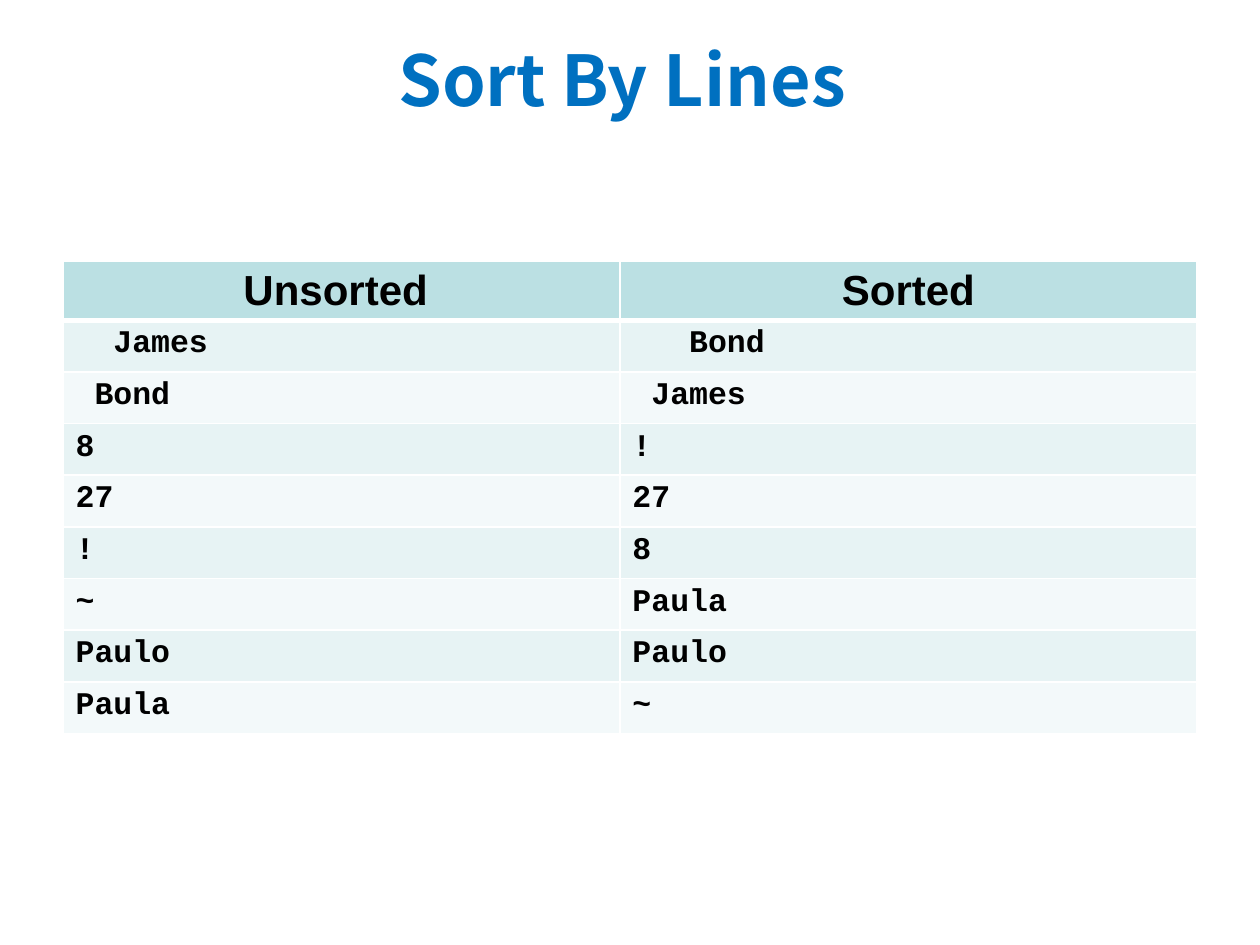
import lxml.etree
import pptx
import pptx.dml.color
import pptx.enum.text
import pptx.oxml.ns
import pptx.util

Inches = pptx.util.Inches
ALIGN = pptx.enum.text.PP_ALIGN

HEADERS = ("Unsorted ", "Sorted")
# Leading spaces belong to the lines: they decide the sort order
UNSORTED_LINES = ("  James", " Bond", "8", "27", "!", "~", "Paulo", "Paula")
SORTED_LINES = ("   Bond", " James", "!", "27", "8", "Paula", "Paulo", "~")

HEADER_FILL = "BBE0E3"
BAND_FILLS = ("E7F3F4", "F3F9FA")
BORDER_COLOR = "FFFFFF"
COLUMN_WIDTHS = (4.42, 4.58)
HEADER_HEIGHT, LINE_HEIGHT = 0.46, 0.41


def color(value):
    return pptx.dml.color.RGBColor.from_string(value)


def format_text(text_frame, font_name, size, text_color, alignment):
    for paragraph in text_frame.paragraphs:
        paragraph.alignment = alignment
        for run in paragraph.runs:
            run.font.name = font_name
            run.font.size = pptx.util.Pt(size)
            run.font.bold = True
            run.font.color.rgb = color(text_color)


def add_title(slide, text):
    title = slide.shapes.title
    title.left, title.top = Inches(0.5), Inches(0)
    title.width, title.height = Inches(9), Inches(1.25)
    title.text_frame.text = text
    title.text_frame.vertical_anchor = pptx.enum.text.MSO_ANCHOR.MIDDLE
    format_text(title.text_frame, "Noto Sans CJK SC", 40, "0070C0", ALIGN.CENTER)


def set_borders(cell, top, bottom):
    """Draw the four cell borders; widths are in points."""
    qn = pptx.oxml.ns.qn
    properties = cell._tc.get_or_add_tcPr()
    for side, width in (("L", 1), ("R", 1), ("T", top), ("B", bottom)):
        line = lxml.etree.SubElement(
            properties, qn(f"a:ln{side}"), w=str(pptx.util.Pt(width)))
        fill = lxml.etree.SubElement(line, qn("a:solidFill"))
        lxml.etree.SubElement(fill, qn("a:srgbClr"), val=BORDER_COLOR)


def format_cell(cell, row_index):
    is_header = row_index == 0
    # A thick rule separates the header from the lines
    set_borders(cell, top=3 if row_index == 1 else 1, bottom=3 if is_header else 1)
    cell.fill.solid()
    if is_header:
        cell.fill.fore_color.rgb = color(HEADER_FILL)
        format_text(cell.text_frame, "Arial", 24, "000000", ALIGN.CENTER)
    else:
        cell.fill.fore_color.rgb = color(BAND_FILLS[(row_index - 1) % 2])
        format_text(cell.text_frame, "Courier New", 18, "000000", ALIGN.LEFT)


def add_sort_table(slide):
    rows = [HEADERS, *zip(UNSORTED_LINES, SORTED_LINES)]
    height = HEADER_HEIGHT + LINE_HEIGHT * len(UNSORTED_LINES)
    table = slide.shapes.add_table(
        len(rows), len(HEADERS), Inches(0.5), Inches(2.07),
        Inches(sum(COLUMN_WIDTHS)), Inches(height)).table
    for column, width in zip(table.columns, COLUMN_WIDTHS):
        column.width = Inches(width)
    for row_index, texts in enumerate(rows):
        table.rows[row_index].height = Inches(LINE_HEIGHT if row_index else HEADER_HEIGHT)
        for column_index, text in enumerate(texts):
            cell = table.cell(row_index, column_index)
            cell.text_frame.text = text
            format_cell(cell, row_index)


def main():
    presentation = pptx.Presentation()
    presentation.slide_width, presentation.slide_height = Inches(10), Inches(7.5)
    # Title Only layout
    slide = presentation.slides.add_slide(presentation.slide_layouts[5])
    add_title(slide, "Sort By Lines ")
    add_sort_table(slide)
    presentation.save("out.pptx")


if __name__ == "__main__":
    main()
